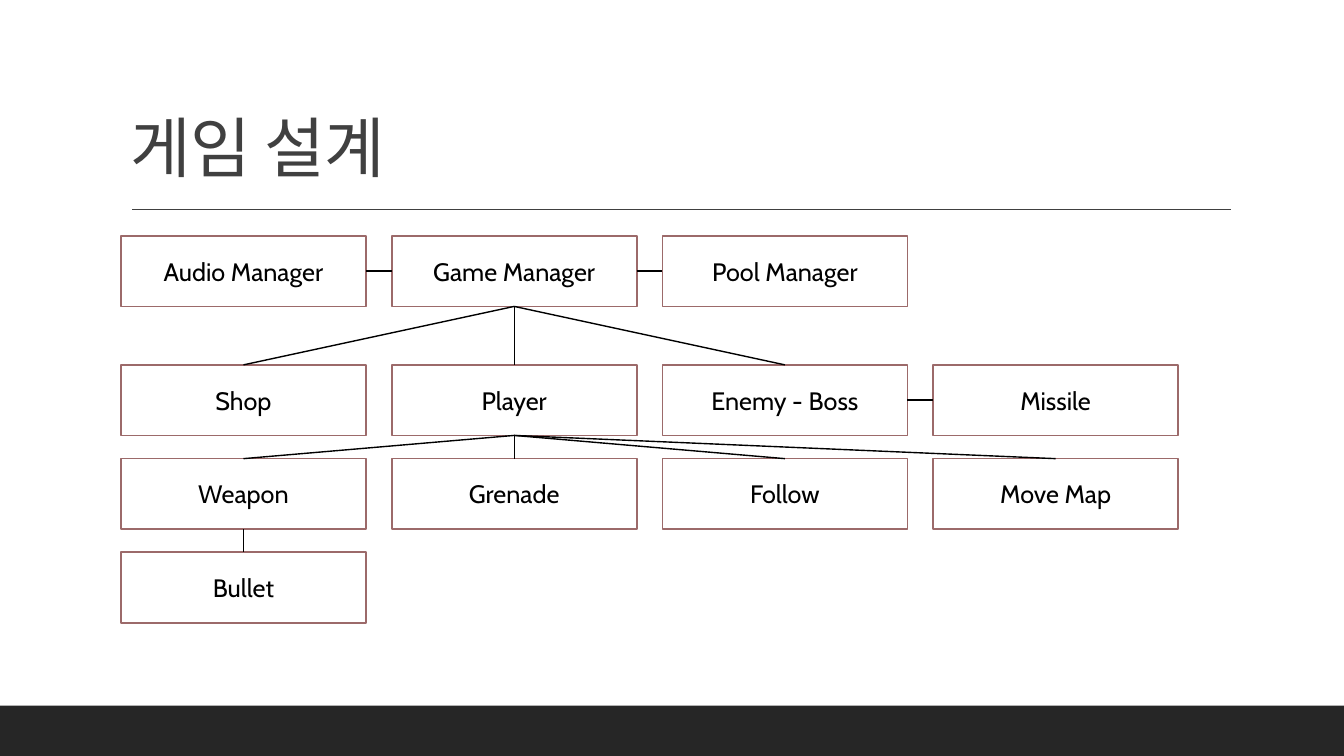
from dataclasses import dataclass
from pptx import Presentation
from pptx.dml.color import RGBColor
from pptx.enum.shapes import MSO_CONNECTOR, MSO_SHAPE
from pptx.enum.text import MSO_ANCHOR, PP_ALIGN
from pptx.oxml.ns import qn
from pptx.util import Inches, Pt
from lxml.etree import SubElement


@dataclass(frozen=True)
class Theme:
    ink: str = "000000"
    title: str = "404040"
    footer: str = "262626"
    paper: str = "FFFFFF"
    border: str = "9C6A6A"
    title_font: str = "Noto Sans CJK KR"
    body_font: str = "Cabin"
    title_size: float = 47
    body_size: float = 18
    border_width: float = 1.25
    line_width: float = 1


THEME = Theme()
TOP, LEFT, BOTTOM, RIGHT = range(4)
GRID_LEFT, COL_PITCH = 1.2, 2.685
ROW_TOPS = (2.34, 3.62, 4.55, 5.48)
BOX_W, BOX_H = 2.43, 0.7

NODES = (
    ("Audio Manager", "Game Manager", "Pool Manager"),
    ("Shop", "Player", "Enemy - Boss", "Missile"),
    ("Weapon", "Grenade", "Follow", "Move Map"),
    ("Bullet",),
)
SIDE_LINKS = (
    ("Audio Manager", "Game Manager"),
    ("Game Manager", "Pool Manager"),
    ("Enemy - Boss", "Missile"),
)
CHILDREN = {
    "Game Manager": ("Shop", "Player", "Enemy - Boss"),
    "Player": NODES[2],
    "Weapon": NODES[3],
}


def rgb(color):
    return RGBColor.from_string(color)


def add_run(p, text, font, size, color):
    r = p.add_run()
    r.text = text
    r.font.name = font
    r.font.size = Pt(size)
    r.font.color.rgb = rgb(color)
    SubElement(r.font._element, qn("a:ea")).set("typeface", font)
    return r


def add_box(s, preset, left, top, width, height, fill, border=None):
    sp = s.shapes.add_shape(preset, Inches(left), Inches(top), Inches(width), Inches(height))
    sp.shadow.inherit = False
    sp.fill.solid()
    sp.fill.fore_color.rgb = rgb(fill)
    if border:
        sp.line.color.rgb = rgb(border)
        sp.line.width = Pt(THEME.border_width)
    else:
        sp.line.fill.background()
    return sp


def add_node(s, text, col, row):
    sp = add_box(s, MSO_SHAPE.FLOWCHART_PROCESS, GRID_LEFT + col * COL_PITCH,
                 ROW_TOPS[row], BOX_W, BOX_H, THEME.paper, THEME.border)
    tf = sp.text_frame
    tf.word_wrap = True
    tf.vertical_anchor = MSO_ANCHOR.MIDDLE
    p = tf.paragraphs[0]
    p.alignment = PP_ALIGN.CENTER
    add_run(p, text, THEME.body_font, THEME.body_size, THEME.ink)
    return sp


def add_line(s, color, x1=0, y1=0, x2=0, y2=0):
    line = s.shapes.add_connector(MSO_CONNECTOR.STRAIGHT, Inches(x1), Inches(y1),
                                  Inches(x2), Inches(y2))
    line.line.color.rgb = rgb(color)
    line.line.width = Pt(THEME.line_width)
    SubElement(line._element.spPr, qn("a:effectLst"))
    return line


def link(s, start, start_side, end, end_side):
    line = add_line(s, THEME.ink)
    line.begin_connect(start, start_side)
    line.end_connect(end, end_side)


def add_title(s, text):
    tf = s.shapes.add_textbox(Inches(1.2), Inches(0.31), Inches(11), Inches(1.59)).text_frame
    tf.word_wrap = True
    tf.vertical_anchor = MSO_ANCHOR.BOTTOM
    p = tf.paragraphs[0]
    p.line_spacing = 0.9
    r = add_run(p, text, THEME.title_font, THEME.title_size, THEME.title)
    r.font._element.set("spc", "-50")


def main():
    prs = Presentation()
    prs.slide_width, prs.slide_height = Inches(13.33), Inches(7.5)
    s = prs.slides.add_slide(prs.slide_layouts[6])
    add_box(s, MSO_SHAPE.RECTANGLE, 0, 7, 13.33, 0.5, THEME.footer)
    add_line(s, THEME.title, 1.31, 2.08, 12.21, 2.08)
    add_title(s, "게임 설계")
    nodes = {name: add_node(s, name, col, row)
             for row, names in enumerate(NODES) for col, name in enumerate(names)}
    for left, right in SIDE_LINKS:
        link(s, nodes[left], RIGHT, nodes[right], LEFT)
    for parent, children in CHILDREN.items():
        for child in children:
            link(s, nodes[parent], BOTTOM, nodes[child], TOP)
    prs.save("out.pptx")


if __name__ == "__main__":
    main()
